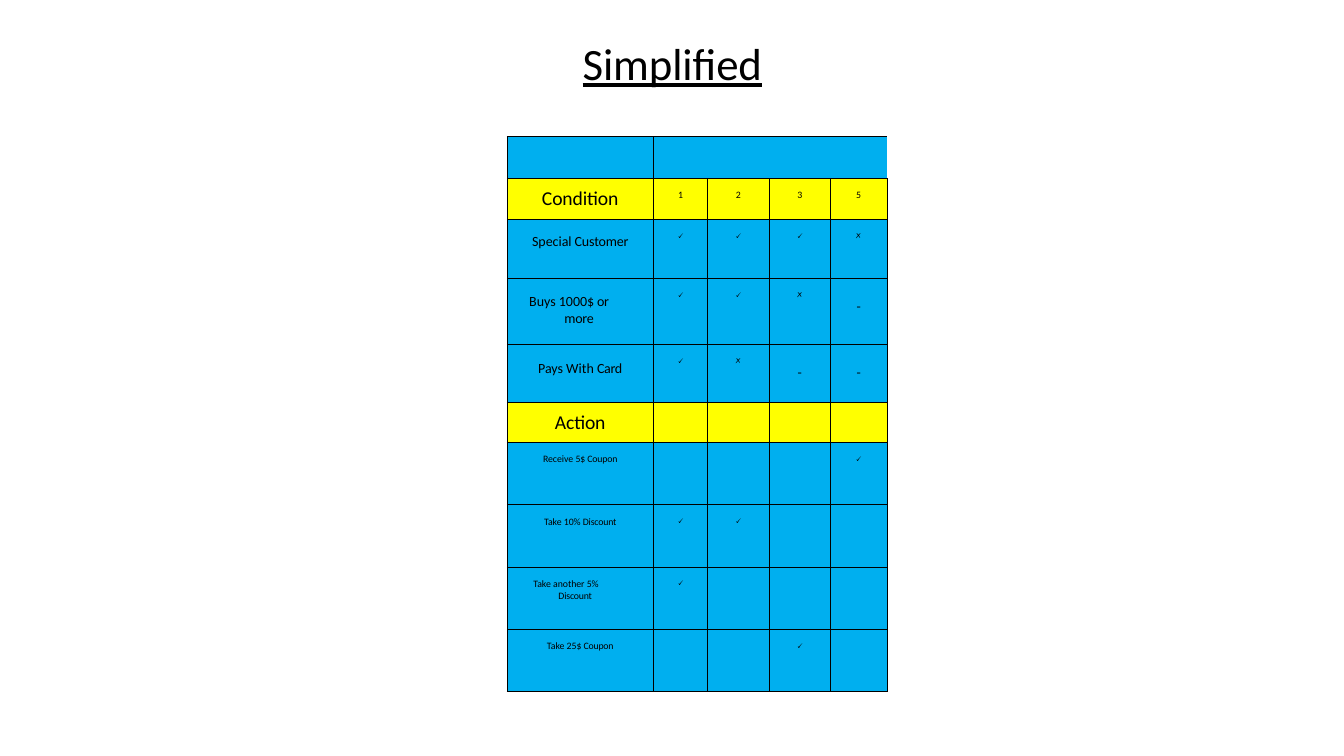
from dataclasses import dataclass
from typing import Optional

from lxml.etree import SubElement
from pptx import Presentation
from pptx.dml.color import RGBColor
from pptx.enum.text import MSO_ANCHOR, MSO_AUTO_SIZE, PP_ALIGN
from pptx.oxml import parse_xml
from pptx.oxml.ns import nsdecls, qn
from pptx.util import Pt


@dataclass(frozen=True)
class Theme:
    ink: RGBColor = RGBColor(0x00, 0x00, 0x00)
    blue: RGBColor = RGBColor(0x00, 0xAF, 0xEF)
    yellow: RGBColor = RGBColor(0xFF, 0xFF, 0x00)
    text_font: str = "Calibri"
    mark_font: str = "Arial"
    dash_font: str = "Times New Roman"
    title_size: float = 32
    heading_size: float = 14
    condition_size: float = 10
    small_size: float = 7
    dash_size: float = 9
    border: float = 0.5


@dataclass(frozen=True)
class Run:
    text: str
    tracking: float = 0


@dataclass(frozen=True)
class Hanging:
    left: float
    first: float
    spacing: float


@dataclass(frozen=True)
class Row:
    height: float
    label: tuple[Run, ...] = ()
    size: float = 7
    top: float = 8
    marks: tuple[str, ...] = ("", "", "", "")
    heading: bool = False
    hanging: Optional[Hanging] = None


THEME = Theme()
CHECK, CROSS, DASH = "🗸", "🗴", "-"
TOP = 8
WRAP_MARGIN = 20
COLUMNS = (104.5, 38.7, 44, 43.7, 40.5)
ACTION_HEIGHT = 44.5
ROWS = (
    Row(25.5),
    Row(29, (Run("Condition", -0.1),), THEME.heading_size, 0,
        ("1", "2", "3", "5"), heading=True),
    Row(42.3, (Run("Special"), Run(" Customer", -0.1)), THEME.condition_size, 10.3,
        (CHECK, CHECK, CHECK, CROSS)),
    Row(47.2, (Run("Buys 1000$"), Run(" or more", -0.2)), THEME.condition_size, 10.3,
        (CHECK, CHECK, CROSS, DASH), hanging=Hanging(41, -25.2, 1.01)),
    Row(41.5, (Run("Pays With "), Run("Card", -0.2)), THEME.condition_size, 11.5,
        (CHECK, CROSS, DASH, DASH)),
    Row(28.5, (Run("Action", -0.1),), THEME.heading_size, 0, heading=True),
    Row(ACTION_HEIGHT, (Run("Receive 5$"), Run(" Coupon", -0.1)),
        marks=("", "", "", CHECK)),
    Row(ACTION_HEIGHT, (Run("Take 10% "), Run("Discount", -0.1)),
        marks=(CHECK, CHECK, "", "")),
    Row(ACTION_HEIGHT, (Run("Take another "), Run("5% ", -0.2), Run("Discount", -0.1)),
        marks=(CHECK, "", "", ""), hanging=Hanging(36.7, -18, 1.02)),
    Row(ACTION_HEIGHT, (Run("Take 25$"), Run(" Coupon", -0.1)),
        marks=("", "", CHECK, "")),
)


def add_run(p, run: Run, font: str, size: float) -> None:
    r = p.add_run()
    r.text = run.text
    r.font.name = font
    r.font.size = Pt(size)
    r.font.color.rgb = THEME.ink
    r.font._element.set("spc", str(round(run.tracking * 100)))


def set_borders(cell, sides: str) -> None:
    tc_pr = cell._tc.get_or_add_tcPr()
    for i, side in enumerate("LRTB"):
        ln = parse_xml(f'<a:ln{side} {nsdecls("a")} w="{Pt(THEME.border)}"/>')
        if side in sides:
            fill = SubElement(ln, qn("a:solidFill"))
            SubElement(fill, qn("a:srgbClr")).set("val", str(THEME.ink))
        else:
            SubElement(ln, qn("a:noFill"))
        tc_pr.insert(i, ln)


def format_cell(cell, color: RGBColor, sides: str) -> None:
    cell.fill.solid()
    cell.fill.fore_color.rgb = color
    cell.margin_left = cell.margin_right = 0
    cell.margin_top = cell.margin_bottom = 0
    set_borders(cell, sides)


def write_label(cell, row: Row) -> None:
    p = cell.text_frame.paragraphs[0]
    cell.margin_top = Pt(row.top)
    if row.hanging:
        p.alignment = PP_ALIGN.LEFT
        p.line_spacing = row.hanging.spacing
        p_pr = p._p.get_or_add_pPr()
        p_pr.set("marL", str(Pt(row.hanging.left)))
        p_pr.set("indent", str(Pt(row.hanging.first)))
        cell.margin_right = Pt(WRAP_MARGIN)
    else:
        p.alignment = PP_ALIGN.CENTER
    if row.heading:
        p.line_spacing = Pt(23.2)
    for run in row.label:
        add_run(p, run, THEME.text_font, row.size)


def write_mark(cell, mark: str) -> None:
    p = cell.text_frame.paragraphs[0]
    p.alignment = PP_ALIGN.CENTER
    if mark == DASH:
        p.line_spacing = 2.5
        add_run(p, Run(mark), THEME.dash_font, THEME.dash_size)
        return
    cell.margin_top = Pt(TOP)
    if mark in (CHECK, CROSS):
        add_run(p, Run(mark, -0.5), THEME.mark_font, THEME.small_size)
    else:
        add_run(p, Run(mark), THEME.text_font, THEME.small_size)


def add_title(s) -> None:
    sp = s.shapes.title
    sp.left, sp.top, sp.width, sp.height = Pt(416.2), Pt(24.5), Pt(163.4), Pt(39.6)
    tf = sp.text_frame
    tf.word_wrap = False
    tf.auto_size = MSO_AUTO_SIZE.NONE
    tf.vertical_anchor = MSO_ANCHOR.TOP
    tf.margin_left = tf.margin_right = tf.margin_bottom = 0
    tf.margin_top = Pt(0.95)
    p = tf.paragraphs[0]
    p.alignment = PP_ALIGN.LEFT
    p.line_spacing = 1.0
    p.space_before = Pt(0)
    add_run(p, Run("Simplified", -0.1), THEME.text_font, THEME.title_size)
    p.runs[0].font.underline = True


def add_decision_table(s) -> None:
    height = sum(row.height for row in ROWS)
    tbl = s.shapes.add_table(len(ROWS), len(COLUMNS), Pt(362.2), Pt(97.5),
                             Pt(sum(COLUMNS)), Pt(height)).table
    tbl.first_row = tbl.horz_banding = False
    for column, width in zip(tbl.columns, COLUMNS):
        column.width = Pt(width)
    for i, row in enumerate(ROWS):
        tbl.rows[i].height = Pt(row.height)
        for j in range(len(COLUMNS)):
            sides = "LTB" if i == 0 and j else "LRTB"
            format_cell(tbl.cell(i, j), THEME.yellow if row.heading else THEME.blue, sides)
        write_label(tbl.cell(i, 0), row)
        for j, mark in enumerate(row.marks, 1):
            if mark:
                write_mark(tbl.cell(i, j), mark)
    tbl.cell(0, 1).merge(tbl.cell(0, len(COLUMNS) - 1))


def main() -> None:
    prs = Presentation()
    prs.slide_width, prs.slide_height = Pt(960), Pt(540)
    s = prs.slides.add_slide(prs.slide_layouts[5])
    add_title(s)
    add_decision_table(s)
    prs.save("out.pptx")


if __name__ == "__main__":
    main()
